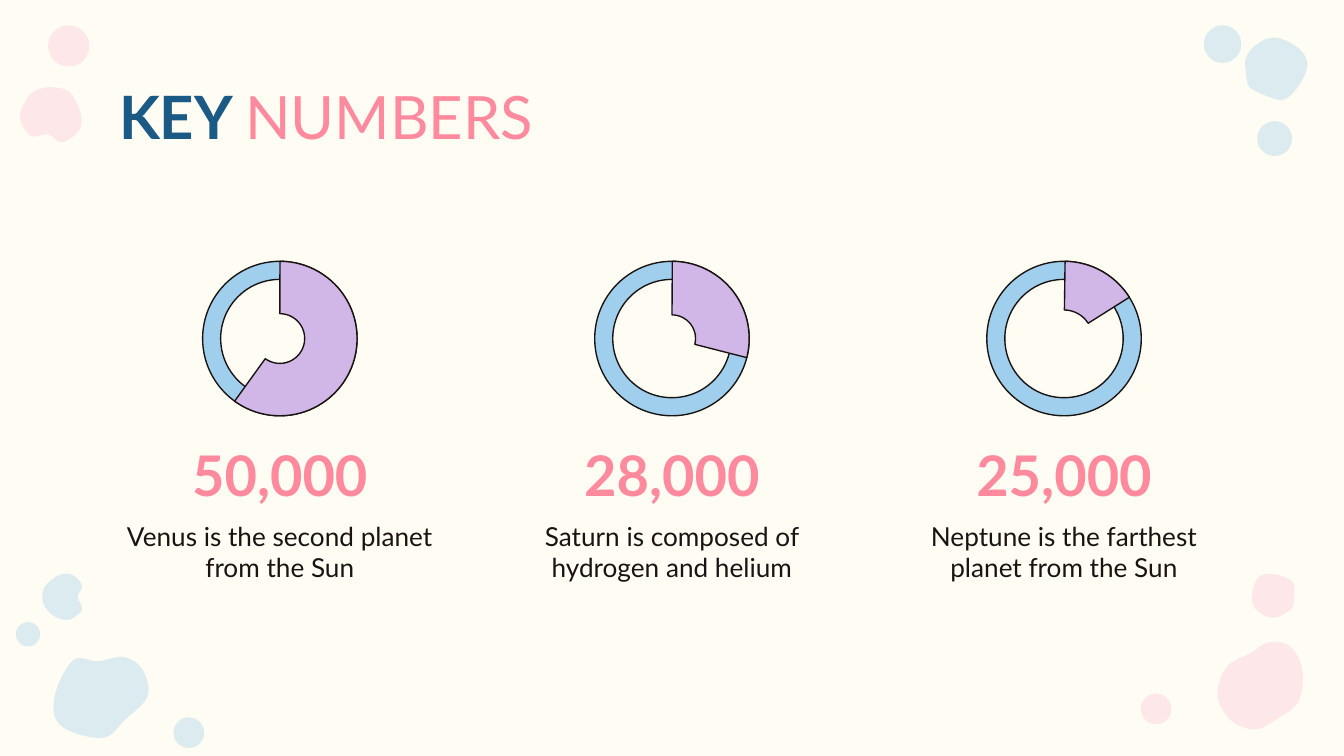
from lxml.etree import SubElement
from pptx import Presentation
from pptx.dml.color import RGBColor
from pptx.enum.shapes import MSO_SHAPE as SHAPE
from pptx.enum.text import MSO_ANCHOR as ANCHOR, MSO_AUTO_SIZE as AUTO, PP_ALIGN as ALIGN
from pptx.oxml.ns import qn
from pptx.util import Cm, Pt

CREAM = RGBColor(0xFF, 0xFC, 0xF3)
BLUSH = RGBColor(0xFD, 0xE7, 0xE9)
SKY = RGBColor(0xA0, 0xCF, 0xED)
LILAC = RGBColor(0xD1, 0xB7, 0xE7)
PINK = RGBColor(0xFF, 0x8A, 0x9D)
NAVY = RGBColor(0x1B, 0x5A, 0x85)
INK = RGBColor(0x19, 0x14, 0x12)

FONT = "Lato"
FIRST_CENTER, STEP, RING_Y = 5.29, 7.41, 6.4
RING, TEXT_WIDTH = 2.92, 6.45
RING_HOLE = 0.117

KEY_NUMBERS = [
    ("50,000", "Venus is the second planet from the Sun", 270.1, 125.8, 0.339),
    ("28,000", "Saturn is composed of hydrogen and helium", 270.3, 14.3, 0.347),
    ("25,000", "Neptune is the farthest planet from the Sun", 270.8, 327.7, 0.315),
]

BLOBS = [
    (BLUSH, 100, [(24.1, 13.61), (23.7, 13.79), (23.24, 13.59), (23.01, 13.13), (23.19, 12.6),
                  (23.65, 12.34), (23.98, 12.14), (24.38, 12.22), (24.61, 12.65), (24.54, 13.26)]),
    (BLUSH, 100, [(23.67, 11.4), (23.7, 11.07), (23.85, 10.87), (24.16, 10.87), (24.43, 11),
                  (24.46, 11.2), (24.43, 11.48), (24.26, 11.61), (24.08, 11.68), (23.85, 11.61)]),
    (SKY, 36, [(1.98, 13.94), (1.37, 13.84), (1.04, 13.56), (1.07, 13.03), (1.4, 12.47),
               (1.85, 12.5), (2.34, 12.42), (2.69, 12.65), (2.79, 13.16), (2.36, 13.61)]),
    (SKY, 36, [(0.84, 11.1), (1.12, 10.87), (1.37, 10.87), (1.55, 11.07), (1.47, 11.28),
               (1.55, 11.53), (1.32, 11.71), (1.09, 11.68), (0.94, 11.58), (0.81, 11.38)]),
    (SKY, 36, [(24.1, 0.71), (24.54, 0.91), (24.71, 1.22), (24.56, 1.6), (24.28, 1.88),
               (23.98, 1.83), (23.62, 1.65), (23.55, 1.37), (23.55, 1.09), (23.75, 0.84)]),
    (BLUSH, 100, [(1.3, 1.73), (1.52, 2.13), (1.5, 2.46), (1.17, 2.69), (0.91, 2.54),
                  (0.58, 2.57), (0.38, 2.24), (0.46, 1.96), (0.61, 1.75), (0.91, 1.65)]),
]

DOTS = [
    (BLUSH, 100, 21.56, 13.11, 0.58),
    (SKY, 36, 3.28, 13.56, 0.58),
    (SKY, 36, 0.3, 11.76, 0.46),
    (SKY, 36, 22.75, 0.48, 0.71),
    (SKY, 36, 23.76, 2.29, 0.66),
    (BLUSH, 100, 0.91, 0.48, 0.78),
]


def paint(sp, color, opacity=100, outlined=False):
    """Fill a shape, with an optional ink outline and opacity in percent."""
    sp.shadow.inherit = False
    sp.fill.solid()
    sp.fill.fore_color.rgb = color
    if opacity < 100:
        clr = sp._element.spPr.find(qn("a:solidFill"))[0]
        SubElement(clr, qn("a:alpha"), val=str(opacity * 1000))
    if outlined:
        sp.line.color.rgb = INK
        sp.line.width = Pt(0.75)
    else:
        sp.line.fill.background()


def smooth(sp):
    """Turn the straight sides of a closed freeform into Bézier curves."""
    path = next(sp._element.iter(qn("a:path")))
    points = [(int(pt.get("x")), int(pt.get("y"))) for pt in path.iter(qn("a:pt"))]
    for side in path[1:]:
        path.remove(side)
    count = len(points)
    for i, b in enumerate(points):
        a, c, d = points[i - 1], points[(i + 1) % count], points[(i + 2) % count]
        leave = [q + (r - p) / 6 for p, q, r in zip(a, b, c)]
        arrive = [r - (t - q) / 6 for q, r, t in zip(b, c, d)]
        curve = SubElement(path, qn("a:cubicBezTo"))
        for x, y in (leave, arrive, c):
            SubElement(curve, qn("a:pt"), x=str(round(x)), y=str(round(y)))
    SubElement(path, qn("a:close"))


def add_blob(s, color, opacity, points):
    """Draw a soft-edged blob."""
    start, *rest = [(Cm(x), Cm(y)) for x, y in points]
    builder = s.shapes.build_freeform(*start)
    builder.add_line_segments(rest, close=True)
    sp = builder.convert_to_shape()
    smooth(sp)
    paint(sp, color, opacity)


def add_round(s, kind, left, top, size):
    """Add a preset shape that fills a square."""
    return s.shapes.add_shape(kind, Cm(left), Cm(top), Cm(size), Cm(size))


def add_ring(s, center, start_angle, end_angle, thickness):
    """Draw a ring with a thicker arc between two angles."""
    box = center - RING / 2, RING_Y - RING / 2, RING
    ring = add_round(s, SHAPE.DONUT, *box)
    ring.adjustments[0] = RING_HOLE
    paint(ring, SKY, outlined=True)
    arc = add_round(s, SHAPE.BLOCK_ARC, *box)
    for i, value in enumerate((start_angle * 0.6, end_angle * 0.6, thickness)):
        arc.adjustments[i] = value
    paint(arc, LILAC, outlined=True)


def set_frame(tf, anchor):
    """Give a text frame even margins, wrapping and an anchor."""
    tf.word_wrap = True
    tf.auto_size = AUTO.NONE
    tf.vertical_anchor = anchor
    tf.margin_left = tf.margin_right = tf.margin_top = tf.margin_bottom = Cm(0.25)


def add_label(s, text, center, top, height, size, color, bold=False, anchor=ANCHOR.TOP):
    """Add a centred text box around a column's axis."""
    sp = s.shapes.add_textbox(Cm(center - TEXT_WIDTH / 2), Cm(top), Cm(TEXT_WIDTH), Cm(height))
    set_frame(sp.text_frame, anchor)
    p = sp.text_frame.paragraphs[0]
    p.text = text
    p.alignment = ALIGN.CENTER
    p.font.name, p.font.size, p.font.bold = FONT, Pt(size), bold
    p.font.color.rgb = color


def set_title(s, parts):
    """Place the title and write its coloured parts."""
    sp = s.shapes.title
    sp.left, sp.top, sp.width, sp.height = Cm(2), Cm(1.26), Cm(21.4), Cm(1.6)
    set_frame(sp.text_frame, ANCHOR.TOP)
    p = sp.text_frame.paragraphs[0]
    p.alignment = ALIGN.LEFT
    p.font.name, p.font.size = FONT, Pt(32)
    for text, color, bold in parts:
        r = p.add_run()
        r.text = text
        r.font.name, r.font.size, r.font.bold = FONT, Pt(32), bold
        r.font.color.rgb = color


def main():
    """Build the key numbers slide."""
    prs = Presentation()
    prs.slide_width, prs.slide_height = Cm(25.4), Cm(14.29)
    s = prs.slides.add_slide(prs.slide_layouts[5])
    s.background.fill.solid()
    s.background.fill.fore_color.rgb = CREAM
    for blob in BLOBS:
        add_blob(s, *blob)
    for color, opacity, left, top, size in DOTS:
        paint(add_round(s, SHAPE.OVAL, left, top, size), color, opacity)
    set_title(s, [("KEY ", NAVY, True), ("NUMBERS", PINK, False)])
    for i, (number, caption, start_angle, end_angle, thickness) in enumerate(KEY_NUMBERS):
        center = FIRST_CENTER + i * STEP
        add_ring(s, center, start_angle, end_angle, thickness)
        add_label(s, number, center, 8.28, 1.57, 30, PINK, True, ANCHOR.BOTTOM)
        add_label(s, caption, center, 9.58, 1.42, 14, INK)
    prs.save("out.pptx")


if __name__ == "__main__":
    main()
